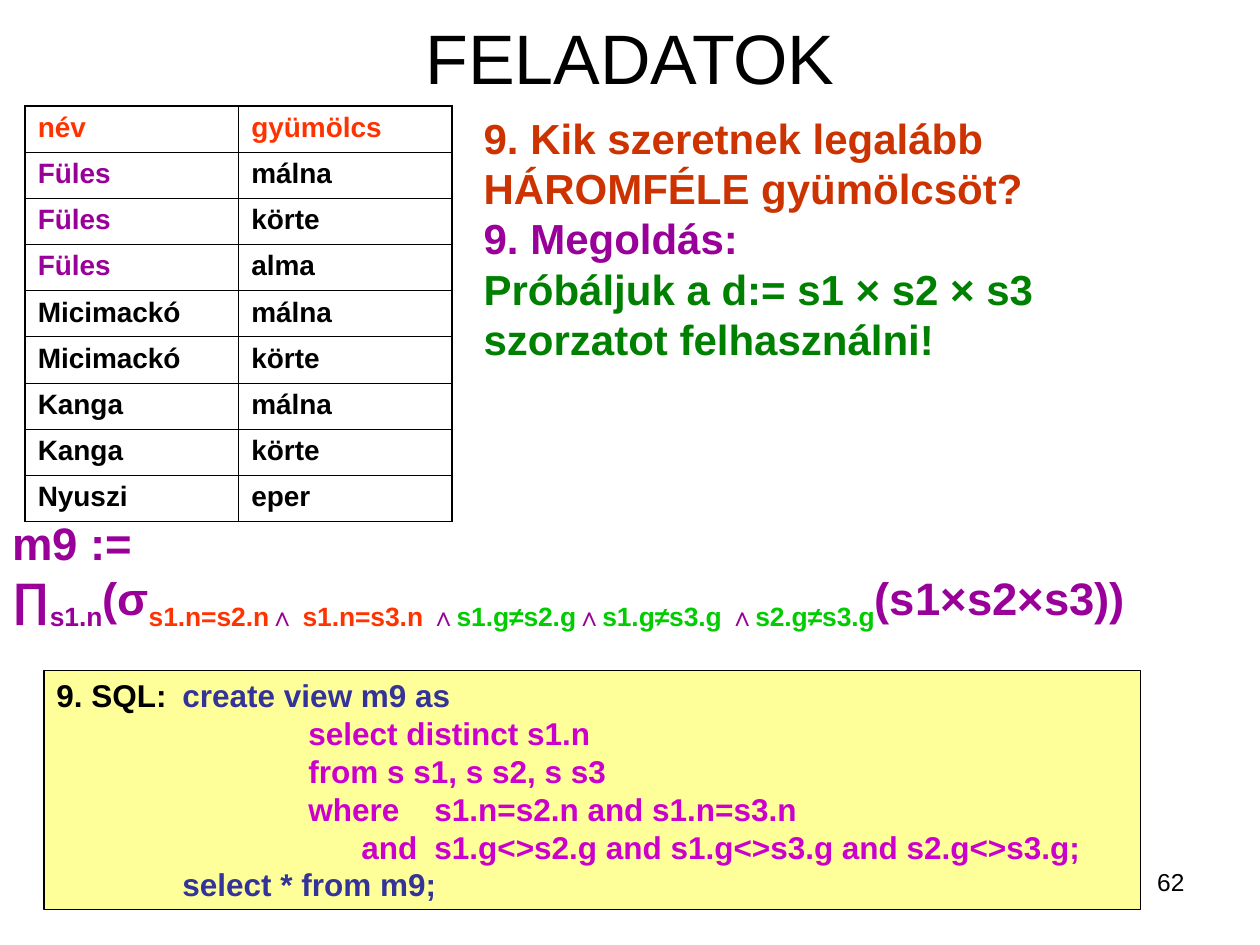
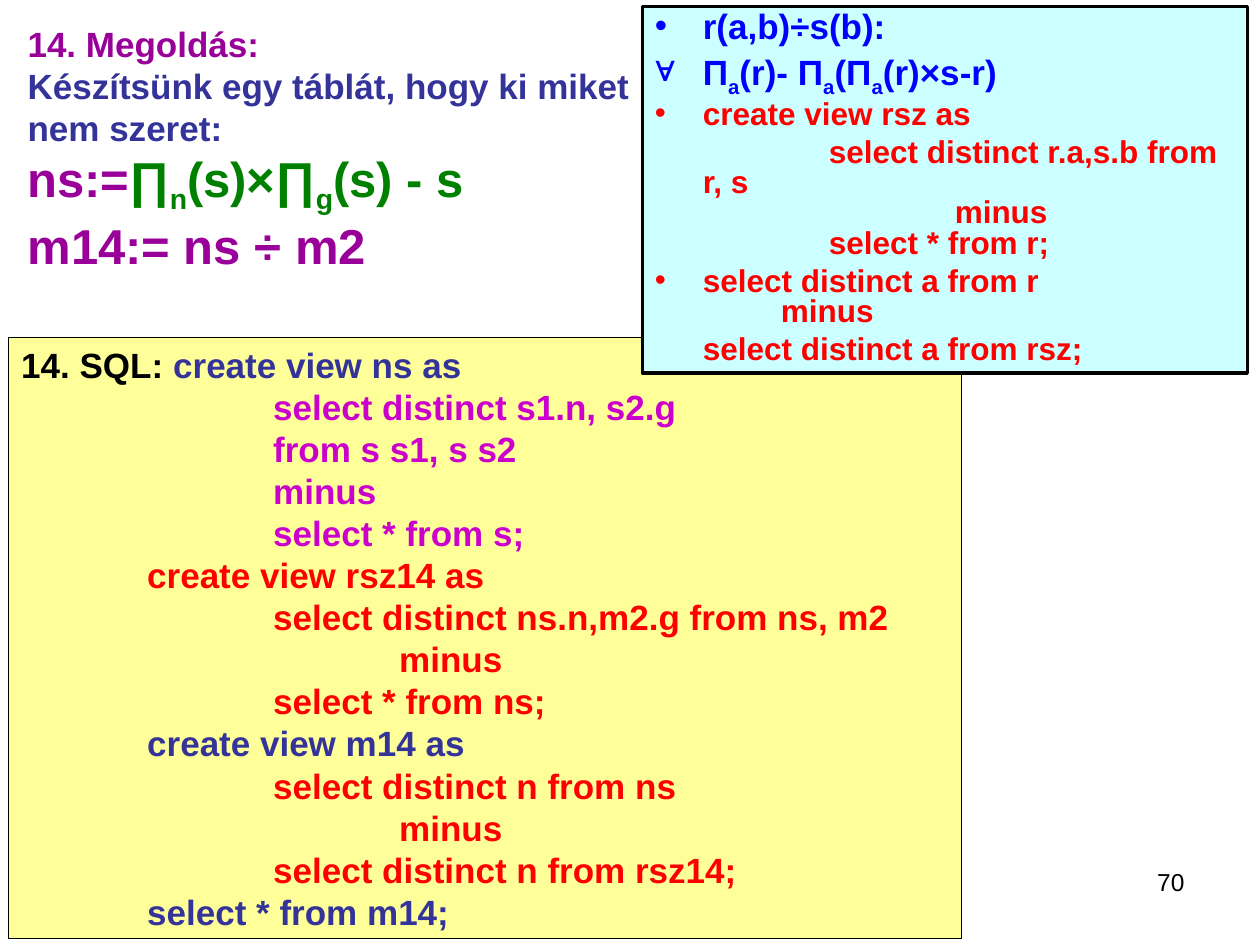
"""Build two slides of relational algebra and SQL exercises."""
from dataclasses import dataclass
from typing import NamedTuple

from lxml.etree import SubElement
from pptx import Presentation
from pptx.dml.color import RGBColor as Color
from pptx.enum.shapes import MSO_SHAPE as Shape
from pptx.enum.text import MSO_ANCHOR as Anchor, MSO_AUTO_SIZE as Fit, PP_ALIGN as Align
from pptx.oxml.ns import qn
from pptx.util import Inches, Pt


@dataclass(frozen=True)
class Theme:
    font: str = "Arial"
    black: str = "000000"
    purple: str = "990099"
    navy: str = "333399"
    pink: str = "CC00CC"
    red: str = "FF0000"
    orange: str = "FF3300"
    rust: str = "CC3300"
    green: str = "008000"
    lime: str = "00CC00"
    blue: str = "0000FF"
    yellow: str = "FFFF99"
    cyan: str = "CCFFFF"
    title: int = 40
    large: int = 28
    math: int = 26
    lead: int = 24
    body: int = 20
    code: int = 18
    cell: int = 16
    foot: int = 14
    thick: float = 1.08
    thin: float = 0.45


T = Theme()


class Span(NamedTuple):
    text: str
    color: str
    sub: bool = False


class Line(NamedTuple):
    spans: list[Span]
    size: int
    first: float = 0
    left: float = 0
    mark: str = ""
    before: float = 0
    pitch: float | None = None
    tabs: bool = False


class Box(NamedTuple):
    x: float
    y: float
    w: float
    h: float
    lines: list[Line]
    fill: str = ""
    edge: float = 0
    align: Align = Align.LEFT


def put(para, text: str, *, size: int, color: str, bold: bool = True, sub: bool = False) -> None:
    """Add a formatted run to a paragraph."""
    run = para.add_run()
    run.text = text
    font = run.font
    font.name, font.size, font.bold = T.font, Pt(size), bold
    font.color.rgb = Color.from_string(color)
    if sub:
        run._r.get_or_add_rPr().set("baseline", "-25000")


def style(para, line: Line) -> None:
    """Set the indents, bullet, tabs and spacing of a paragraph."""
    props = para._p.get_or_add_pPr()
    props.set("marL", str(Inches(line.left)))
    props.set("indent", str(Inches(line.first)))
    if line.mark:
        tint = SubElement(props, qn("a:buClr"))
        SubElement(tint, qn("a:srgbClr"), val=line.spans[0].color)
        SubElement(props, qn("a:buFont"), typeface=T.font)
        SubElement(props, qn("a:buChar"), char=line.mark)
    if line.tabs:
        stops = SubElement(props, qn("a:tabLst"))
        for inch in range(1, 8):
            SubElement(stops, qn("a:tab"), pos=str(Inches(inch)), algn="l")
    para.space_before = Pt(line.before)
    if line.pitch:
        para.line_spacing = line.pitch


def draw(slide, box: Box, bold: bool = True) -> None:
    """Draw a plain or filled box with its lines."""
    area = [Inches(v) for v in box[:4]]
    if box.fill:
        shape = slide.shapes.add_shape(Shape.RECTANGLE, *area)
        shape.shadow.inherit = False
        shape.fill.solid()
        shape.fill.fore_color.rgb = Color.from_string(box.fill)
        shape.line.color.rgb = Color.from_string(T.black)
        shape.line.width = Pt(box.edge)
    else:
        shape = slide.shapes.add_textbox(*area)
    frame = shape.text_frame
    frame.word_wrap = True
    frame.auto_size = Fit.NONE
    frame.vertical_anchor = Anchor.TOP
    for i, line in enumerate(box.lines):
        para = frame.add_paragraph() if i else frame.paragraphs[0]
        style(para, line)
        para.alignment = box.align
        for span in line.spans:
            put(para, span.text, size=line.size, color=span.color, bold=bold, sub=span.sub)


def plain(text: str, color: str, size: int, **form) -> Line:
    """Make a line of one colour."""
    return Line([Span(text, color)], size, **form)


def number(slide, text: str) -> None:
    """Draw the slide number."""
    draw(slide, Box(7.17, 6.83, 2.33, 0.52, [plain(text, T.black, T.foot)],
                    align=Align.RIGHT), bold=False)


def head(slide, text: str) -> None:
    """Place and format the title."""
    shape = slide.shapes.title
    shape.left, shape.top, shape.width, shape.height = map(Inches, (0.5, 0.3, 9, 0.3))
    frame = shape.text_frame
    frame.auto_size = Fit.NONE
    frame.vertical_anchor = Anchor.MIDDLE
    para = frame.paragraphs[0]
    para.alignment = Align.CENTER
    put(para, text, size=T.title, color=T.black, bold=False)


def rule(cell, sides: dict[str, bool]) -> None:
    """Draw the cell borders, thick on the outer sides."""
    props = cell._tc.get_or_add_tcPr()
    for side, outer in sides.items():
        width = Pt(T.thick if outer else T.thin)
        edge = SubElement(props, qn(f"a:ln{side}"), w=str(width))
        fill = SubElement(edge, qn("a:solidFill"))
        SubElement(fill, qn("a:srgbClr"), val=T.black)


def grid(slide, rows: list[tuple[str, str]]) -> None:
    """Draw the table of who likes which fruit."""
    table = slide.shapes.add_table(len(rows), 2, Inches(0.2), Inches(0.84),
                                   Inches(3.39), Inches(3.3)).table
    table.first_row = table.horz_banding = False
    last = len(rows) - 1
    for r, row in enumerate(rows):
        for c, text in enumerate(row):
            cell = table.cell(r, c)
            rule(cell, {"L": c == 0, "R": c == 1, "T": r == 0, "B": r == last})
            cell.fill.background()
            color = T.orange if r == 0 else T.purple if text == "Füles" else T.black
            put(cell.text_frame.paragraphs[0], text, size=T.cell, color=color)


def tasks(deck) -> None:
    """Build the slide of task nine."""
    slide = deck.slides.add_slide(deck.slide_layouts[5])
    number(slide, "62")
    head(slide, "FELADATOK")
    grid(slide, [
        ("név", "gyümölcs"),
        ("Füles", "málna"), ("Füles", "körte"), ("Füles", "alma"),
        ("Micimackó", "málna"), ("Micimackó", "körte"),
        ("Kanga", "málna"), ("Kanga", "körte"), ("Nyuszi", "eper"),
    ])
    draw(slide, Box(3.74, 0.84, 5.99, 2.1, [
        plain("9. Kik szeretnek legalább HÁROMFÉLE gyümölcsöt?", T.rust, T.lead),
        plain("9. Megoldás:", T.purple, T.lead),
        plain("Próbáljuk a d:= s1 × s2 × s3 szorzatot felhasználni!", T.green, T.lead),
    ]))
    terms = [("s1.n=s2.n", T.orange), ("∧ ", T.purple), ("s1.n=s3.n ", T.orange),
             ("∧", T.purple), ("s1.g≠s2.g", T.lime), ("∧", T.purple),
             ("s1.g≠s3.g ", T.lime), ("∧", T.purple), ("s2.g≠s3.g", T.lime)]
    draw(slide, Box(0, 4.04, 9.76, 1.46, [
        plain("m9 :=", T.purple, T.math),
        Line([Span("∏", T.purple), Span("s1.n", T.purple, True), Span("(σ", T.purple),
              *(Span(text, color, True) for text, color in terms),
              Span("(s1×s2×s3))", T.purple)], T.math),
    ]))
    query = [
        ("select distinct s1.n", 2, T.pink),
        ("from s s1, s s2, s s3", 2, T.pink),
        ("where \ts1.n=s2.n and s1.n=s3.n", 2, T.pink),
        ("and\ts1.g<>s2.g and s1.g<>s3.g and s2.g<>s3.g;", 2.42, T.pink),
        ("select * from m9;", 1, T.navy),
    ]
    draw(slide, Box(0.35, 5.32, 8.7, 1.9, [
        Line([Span("9. SQL:\t", T.black), Span("create view m9 as", T.navy)],
             T.code, tabs=True),
        *(plain(text, color, T.code, first=inset, tabs=True)
          for text, inset, color in query),
    ], T.yellow, 0.75))


def divide(deck) -> None:
    """Build the slide of task fourteen."""
    slide = deck.slides.add_slide(deck.slide_layouts[6])
    number(slide, "70")
    draw(slide, Box(0.12, 0.13, 5.12, 3.04, [
        plain("14. Megoldás:", T.purple, T.body),
        plain("Készítsünk egy táblát, hogy ki miket nem szeret:", T.navy, T.body),
        Line([Span("ns:=", T.purple), Span("∏", T.green), Span("n", T.green, True),
              Span("(s)×∏", T.green), Span("g", T.green, True),
              Span("(s) - s", T.green)], T.large),
        plain("m14:= ns ÷ m2", T.purple, T.large),
    ]))
    query = [
        ("select distinct s1.n, s2.g", 2, T.pink),
        ("from s s1, s s2", 2, T.pink),
        ("minus", 2, T.pink),
        ("select * from s;", 2, T.pink),
        ("create view rsz14 as", 1, T.red),
        ("select distinct ns.n,m2.g from ns, m2", 2, T.red),
        ("minus", 3, T.red),
        ("select * from ns;", 2, T.red),
        ("create view m14 as", 1, T.navy),
        ("select distinct n from ns", 2, T.red),
        ("minus", 3, T.red),
        ("select distinct n from rsz14;", 2, T.red),
        ("select * from m14;", 1, T.navy),
    ]
    draw(slide, Box(0.07, 2.68, 7.56, 4.77, [
        Line([Span("14. SQL: ", T.black), Span("create view ns as", T.navy)], T.body),
        *(plain(text, color, T.body, first=inset) for text, inset, color in query),
    ], T.yellow, 0.75))
    hang = {"left": 0.38, "first": -0.38, "pitch": 0.8}
    steps = [
        ("create view rsz as", -0.38, "•", 4.5),
        ("select distinct r.a,s.b from r, s", 1, "", 4.5),
        ("minus", 2, "", 0),
        ("select * from r;", 1, "", 0),
        ("select distinct a from r", -0.38, "•", 4.5),
        ("minus", 0.62, "", 0),
        ("select distinct a from rsz;", 0, "", 4.5),
    ]
    parts = ["Π", "a", "(r)- Π", "a", "(Π", "a", "(r)×s-r)"]
    draw(slide, Box(5.1, 0.05, 4.8, 2.91, [
        plain("r(a,b)÷s(b):", T.blue, T.body, mark="•", **hang),
        Line([Span(part, T.blue, part == "a") for part in parts], T.body,
             mark="∀", before=5, **hang),
        *(plain(text, T.red, T.code, left=0.38, first=inset, mark=mark,
                before=gap, pitch=0.8) for text, inset, mark, gap in steps),
    ], T.cyan, 2))


def main() -> None:
    """Build and save the deck."""
    deck = Presentation()
    deck.slide_width, deck.slide_height = Inches(10), Inches(7.5)
    tasks(deck)
    divide(deck)
    deck.save("out.pptx")


if __name__ == "__main__":
    main()
